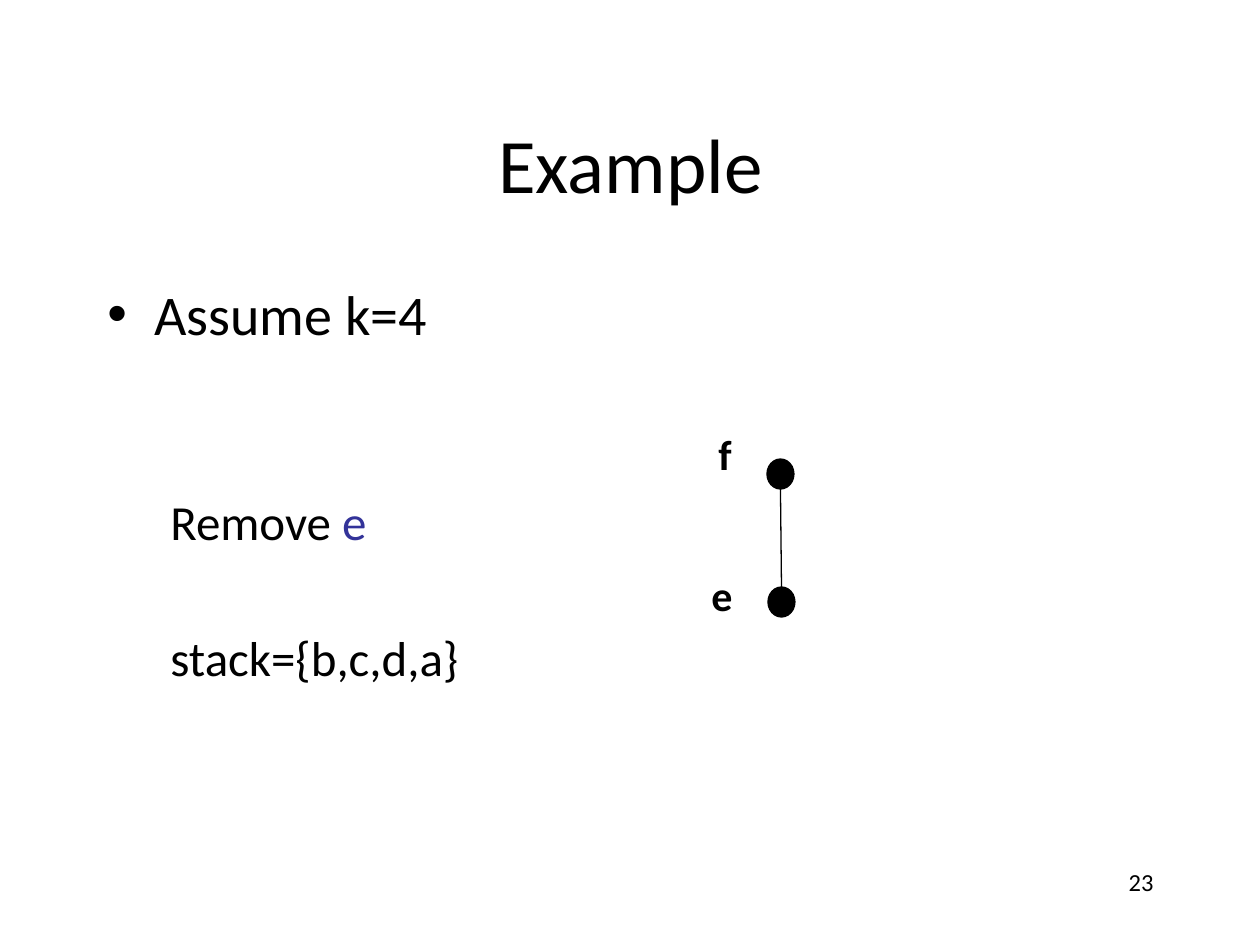
from lxml.etree import SubElement
from pptx import Presentation
from pptx.dml.color import RGBColor
from pptx.enum.shapes import MSO_CONNECTOR as Line, MSO_SHAPE as Shape
from pptx.enum.text import MSO_ANCHOR as Anchor, PP_ALIGN as Align
from pptx.oxml.ns import qn
from pptx.util import Pt

PX = 914400 / 126
BLACK = RGBColor(0x00, 0x00, 0x00)
BLUE = RGBColor(0x33, 0x33, 0x99)
FONT = "Calibri"


def px(value):
    return round(value * PX)


def style(para, size, bold=False):
    font = para.font
    font.name, font.size, font.bold = FONT, Pt(size), bold
    font.color.rgb = BLACK


def add_frame(page, box, anchor=Anchor.TOP):
    frame = page.shapes.add_textbox(*map(px, box)).text_frame
    frame.word_wrap = True
    frame.vertical_anchor = anchor
    return frame


def add_line_of_text(page, box, text, size, align, anchor=Anchor.TOP, bold=False):
    para = add_frame(page, box, anchor).paragraphs[0]
    para.text = text
    para.alignment = align
    style(para, size, bold)


def add_body(page, box):
    frame = add_frame(page, box)
    assume = frame.paragraphs[0]
    assume.text = "Assume k=4"
    props = assume._p.get_or_add_pPr()
    props.set("marL", str(px(47)))
    props.set("indent", str(-px(47)))
    SubElement(props, qn("a:buFont"), typeface="Arial")
    SubElement(props, qn("a:buChar"), char="•")
    style(assume, 32)

    for spans, gap in (((("Remove ", BLACK), ("e", BLUE)), 83),
                       ((("stack={b,c,d,a}", BLACK),), 44)):
        para = frame.add_paragraph()
        para.level = 1
        para.space_before = Pt(gap)
        props = para._p.get_or_add_pPr()
        props.set("marL", str(px(63)))
        props.set("indent", "0")
        SubElement(props, qn("a:buNone"))
        style(para, 28)
        for text, color in spans:
            span = para.add_run()
            span.text = text
            span.font.color.rgb = color


def add_node(page, box, name, label_box):
    left, top, width, height = box
    dot = page.shapes.add_shape(Shape.OVAL, *map(px, box))
    dot.shadow.inherit = False
    dot.fill.solid()
    dot.fill.fore_color.rgb = BLACK
    dot.line.color.rgb = BLACK
    dot.line.width = Pt(0.75)
    dx, dy, label_width, label_height = label_box
    add_line_of_text(page, (left + dx, top + dy, label_width, label_height),
                     name, 24, Align.LEFT, bold=True)
    return left + width / 2, top, top + height


def add_graph(page, box):
    left, top = box[:2]
    f_x, _, f_bottom = add_node(page, (left, top, 27, 30), "f", (-61, -37, 116, 63))
    e_x, e_top, _ = add_node(page, (left + 1, top + 128, 27, 30), "e", (-69, -24, 106, 63))
    edge = page.shapes.add_connector(Line.STRAIGHT, px(e_x), px(e_top), px(f_x), px(f_bottom))
    edge.line.color.rgb = BLACK
    edge.line.width = Pt(0.75)
    SubElement(edge._element.spPr, qn("a:effectLst"))


def main():
    deck = Presentation()
    deck.slide_width, deck.slide_height = px(1260), px(945)
    page = deck.slides.add_slide(deck.slide_layouts[6])
    add_line_of_text(page, (95, 84, 1071, 158), "Example", 44, Align.CENTER, Anchor.MIDDLE)
    add_body(page, (95, 273, 1071, 567))
    add_line_of_text(page, (903, 861, 263, 63), "23", 14, Align.RIGHT)
    add_graph(page, (767, 459, 28, 158))
    deck.save("out.pptx")


if __name__ == "__main__":
    main()
